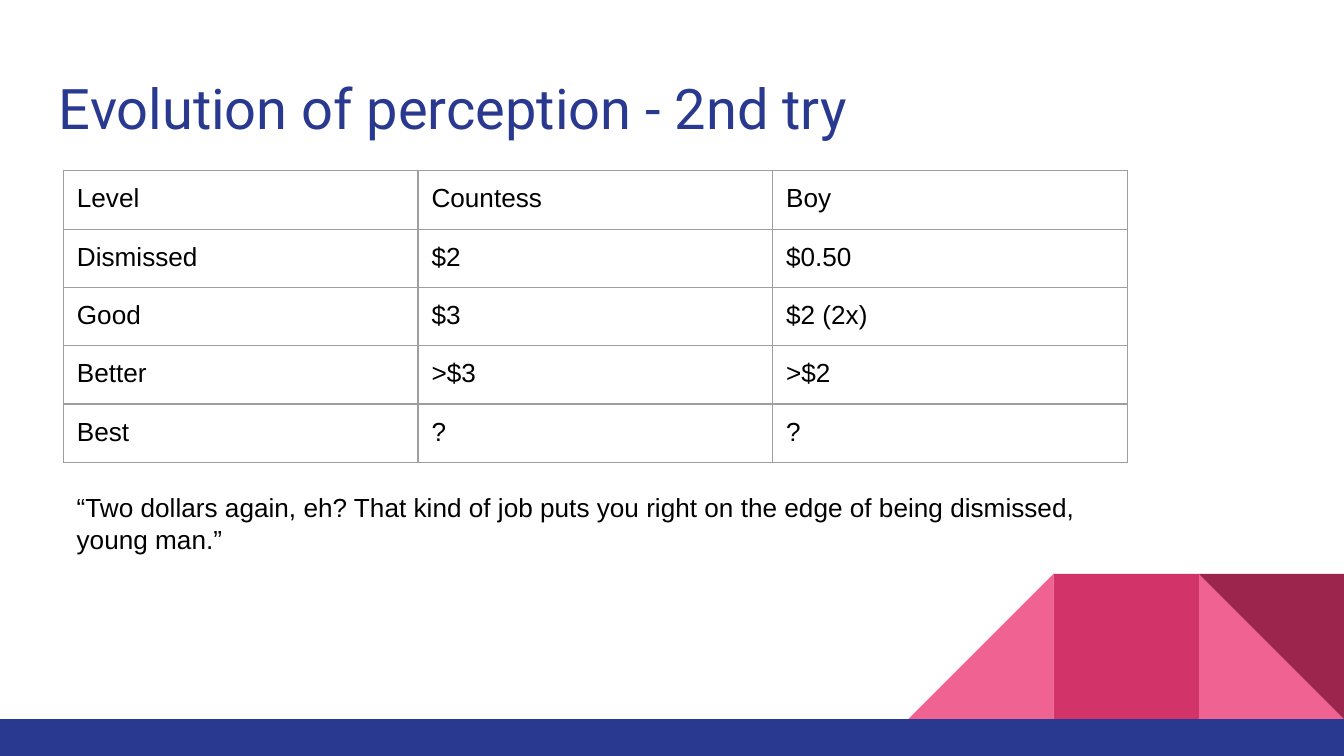
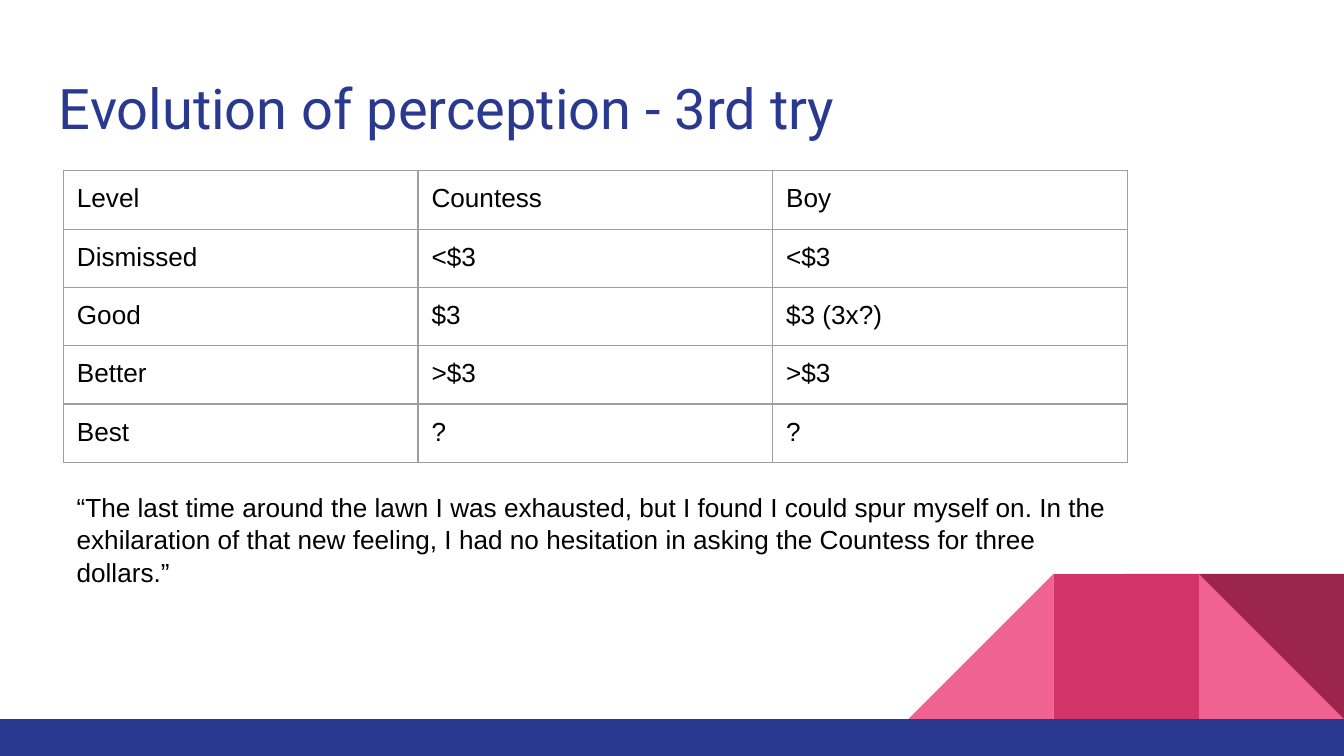
from dataclasses import dataclass

from lxml.etree import SubElement
from pptx import Presentation
from pptx.dml.color import RGBColor as RGB
from pptx.enum.shapes import MSO_SHAPE as Preset
from pptx.enum.text import MSO_ANCHOR as Anchor, PP_ALIGN as Align
from pptx.oxml.ns import qn
from pptx.util import Pt


@dataclass(frozen=True)
class Theme:
    navy: str = "2A3990"
    pink: str = "F06292"
    rose: str = "D23369"
    wine: str = "9C254D"
    white: str = "FFFFFF"
    black: str = "000000"
    rule: str = "9E9E9E"
    title_font: str = "Roboto"
    body_font: str = "Arial"
    title_size: float = 30
    body_size: float = 14
    inset: float = 7.2
    rule_width: float = 0.75


@dataclass(frozen=True)
class Box:
    left: float
    top: float
    width: float
    height: float

    def lengths(self):
        return [Pt(v) for v in (self.left, self.top, self.width, self.height)]


THEME = Theme()
WIDTH, HEIGHT = 720, 405
BAND = Box(0, 385.2, WIDTH, 19.8)
TILE = 77.8
MOTIF = Box(WIDTH - 3 * TILE, BAND.top - TILE, 3 * TILE, TILE)
TITLE = Box(24.5, 32.4, 671, 47.5)
LEVELS = Box(34, 91.5, 570, 150.5)
QUOTE_LEFT, QUOTE_TOP, QUOTE_WIDTH = 34, 255, 567.5

HEADINGS = ("Level", "Countess", "Boy")
TRIES = [
    dict(
        title="Evolution of perception - 2nd try",
        levels=[
            ("Dismissed", "$2", "$0.50"),
            ("Good", "$3", "$2 (2x)"),
            ("Better", ">$3", ">$2"),
            ("Best", "?", "?"),
        ],
        quote="“Two dollars again, eh? That kind of job puts you right on the edge "
              "of being dismissed, young man.”",
        quote_height=47.5,
    ),
    dict(
        title="Evolution of perception - 3rd try",
        levels=[
            ("Dismissed", "<$3", "<$3"),
            ("Good", "$3", "$3 (3x?)"),
            ("Better", ">$3", ">$3"),
            ("Best", "?", "?"),
        ],
        quote="“The last time around the lawn I was exhausted, but I found I could "
              "spur myself on. In the exhilaration of that new feeling, I had no "
              "hesitation in asking the Countess for three dollars.”",
        quote_height=52.5,
    ),
]


def add_block(slide, preset, box, color):
    block = slide.shapes.add_shape(preset, *box.lengths())
    block.shadow.inherit = False
    block.fill.solid()
    block.fill.fore_color.rgb = RGB.from_string(color)
    block.line.fill.background()
    return block


def write(frame, text, size=THEME.body_size, font=THEME.body_font, color=THEME.black):
    paragraph = frame.paragraphs[0]
    paragraph.alignment = Align.LEFT
    run = paragraph.add_run()
    run.text = text
    run.font.size = Pt(size)
    run.font.name = font
    run.font.color.rgb = RGB.from_string(color)
    return paragraph


def set_insets(holder):
    holder.margin_left = holder.margin_right = Pt(THEME.inset)
    holder.margin_top = holder.margin_bottom = Pt(THEME.inset)
    holder.vertical_anchor = Anchor.TOP


def add_footer(slide, motif, band):
    # Folded ribbon: three tiles resting on the band
    tile = motif.height
    left, middle, right = (
        Box(motif.left + i * tile, motif.top, tile, tile) for i in range(3)
    )
    add_block(slide, Preset.RIGHT_TRIANGLE, right, THEME.pink)
    slope = add_block(slide, Preset.RIGHT_TRIANGLE, left, THEME.pink)
    slope._element.spPr.find(qn("a:xfrm")).set("flipH", "1")
    add_block(slide, Preset.RECTANGLE, middle, THEME.rose)
    add_block(slide, Preset.RIGHT_TRIANGLE, right, THEME.wine).rotation = 180
    # Bottom band
    add_block(slide, Preset.RECTANGLE, band, THEME.navy)


def add_title(slide, box, text):
    frame = slide.shapes.add_textbox(*box.lengths()).text_frame
    frame.word_wrap = True
    set_insets(frame)
    write(frame, text, THEME.title_size, THEME.title_font, THEME.navy)


def add_borders(cell):
    properties = cell._tc.get_or_add_tcPr()
    for index, side in enumerate(("a:lnL", "a:lnR", "a:lnT", "a:lnB")):
        line = properties.makeelement(qn(side), {"w": str(Pt(THEME.rule_width))})
        fill = SubElement(line, qn("a:solidFill"))
        SubElement(fill, qn("a:srgbClr"), val=THEME.rule)
        properties.insert(index, line)


def add_levels(slide, box, rows):
    table = slide.shapes.add_table(len(rows), len(rows[0]), *box.lengths()).table
    table.first_row = table.horz_banding = False
    for column in table.columns:
        column.width = Pt(box.width / len(rows[0]))
    for table_row, texts in zip(table.rows, rows):
        table_row.height = Pt(box.height / len(rows))
        for cell, text in zip(table_row.cells, texts):
            cell.fill.background()
            set_insets(cell)
            write(cell.text_frame, text)
            add_borders(cell)


def add_quote(slide, box, text):
    frame = add_block(slide, Preset.RECTANGLE, box, THEME.white).text_frame
    frame.word_wrap = True
    set_insets(frame)
    write(frame, text).line_spacing = 1.05


def add_try(deck, title, levels, quote, quote_height):
    slide = deck.slides.add_slide(deck.slide_layouts[6])
    slide.background.fill.solid()
    slide.background.fill.fore_color.rgb = RGB.from_string(THEME.white)
    add_footer(slide, MOTIF, BAND)
    add_title(slide, TITLE, title)
    add_levels(slide, LEVELS, [HEADINGS, *levels])
    add_quote(slide, Box(QUOTE_LEFT, QUOTE_TOP, QUOTE_WIDTH, quote_height), quote)


def main():
    deck = Presentation()
    deck.slide_width, deck.slide_height = Pt(WIDTH), Pt(HEIGHT)
    for attempt in TRIES:
        add_try(deck, **attempt)
    deck.save("out.pptx")


if __name__ == "__main__":
    main()
